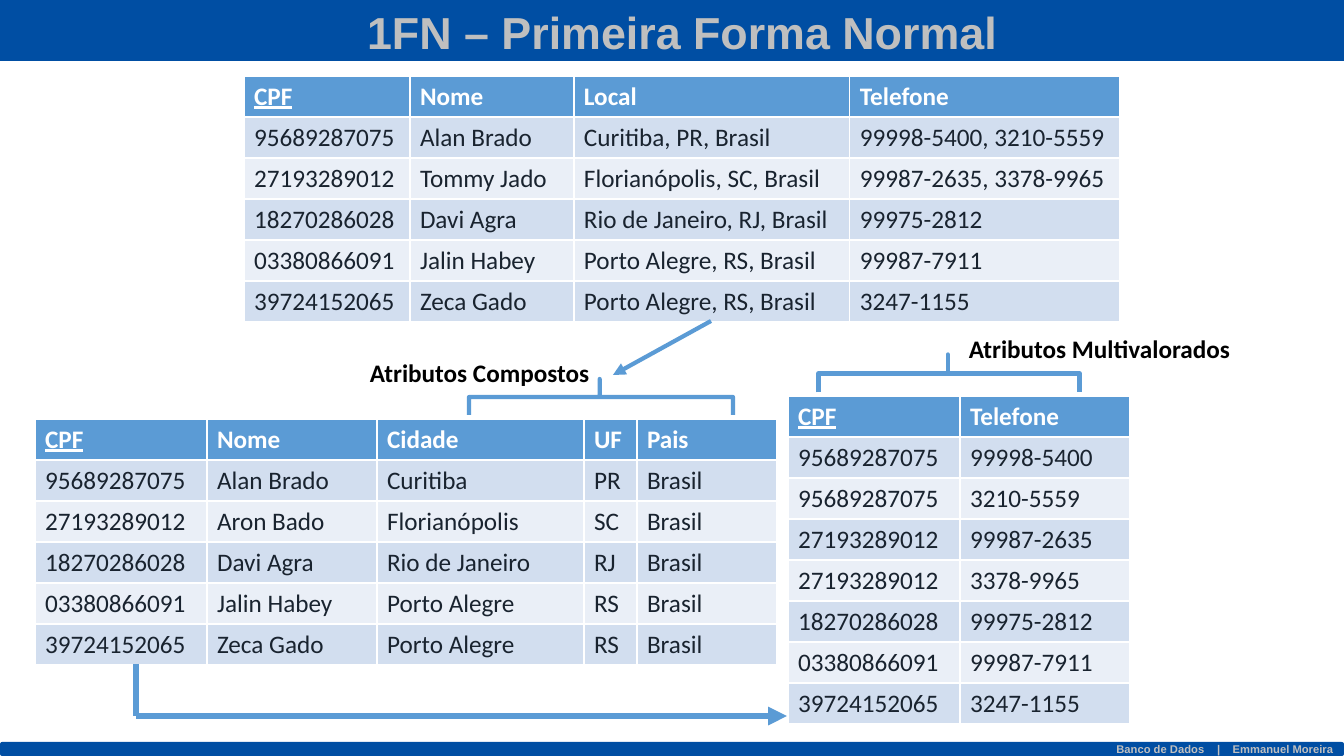
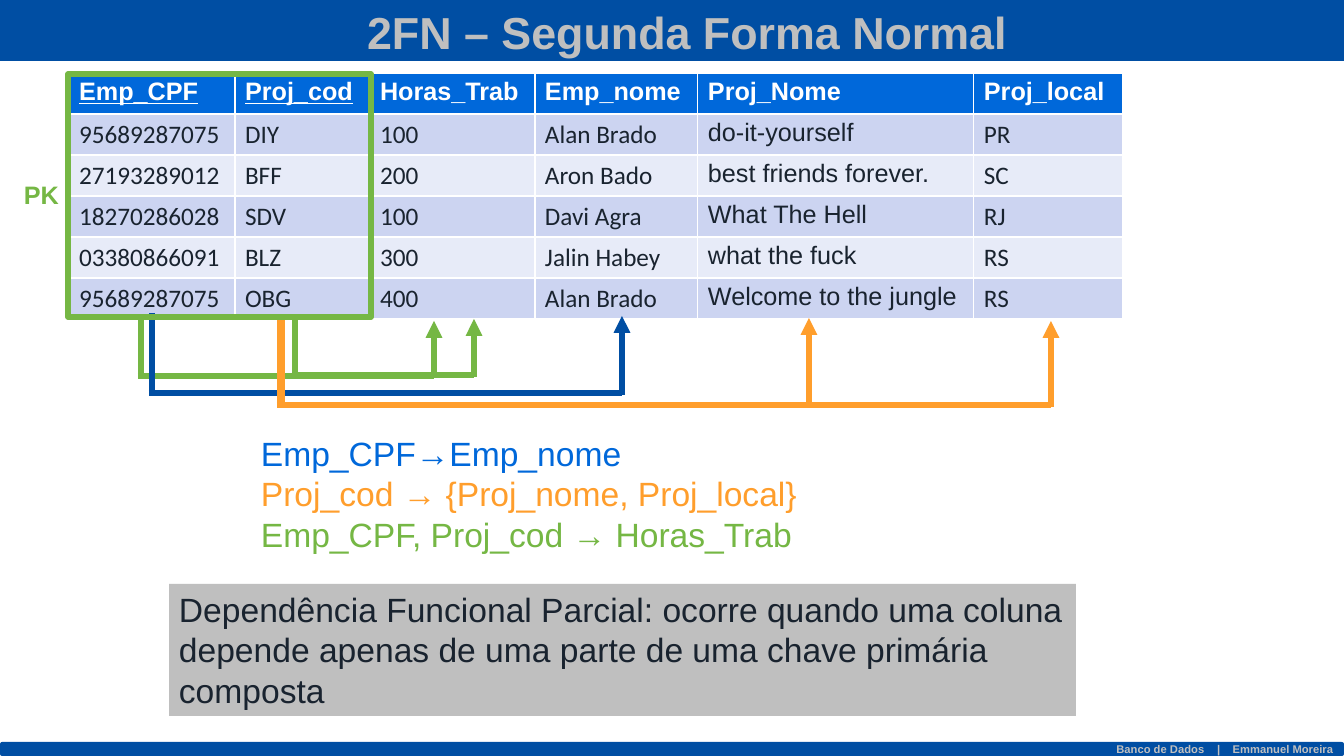
from lxml import etree
from pptx import Presentation
from pptx.dml.color import RGBColor
from pptx.enum.shapes import MSO_CONNECTOR, MSO_SHAPE
from pptx.enum.text import MSO_ANCHOR, MSO_AUTO_SIZE, PP_ALIGN
from pptx.oxml.ns import qn
from pptx.util import Pt

PX = 12192000 / 1344
C = {
    "band": "004EA3", "grey": "BFBFBF", "white": "FFFFFF", "black": "000000",
    "ink": "19232F", "sky": "5B9BD5", "sky_dark": "D2DEEF", "sky_light": "EAEFF7",
    "blue": "0068DA", "blue_dark": "CCD4F1", "blue_light": "E7EBF8",
    "green": "75B744", "orange": "FF9E2C",
}
RGB = {name: RGBColor.from_string(value) for name, value in C.items()}


def px(*lengths):
    return [round(n * PX) for n in lengths]


def write(tf, *lines, size=18, font="Arial", color="ink", bold=False,
          underline=False, align=PP_ALIGN.LEFT, anchor=None, wrap=None):
    """Each line is a string or a (string, colour) pair."""
    if anchor is not None:
        tf.vertical_anchor = anchor
    if wrap is not None:
        tf.word_wrap = wrap
    for i, line in enumerate(lines):
        text, line_color = (line, color) if isinstance(line, str) else line
        p = tf.paragraphs[0] if i == 0 else tf.add_paragraph()
        p.alignment = align
        r = p.add_run()
        r.text = text
        r.font.size, r.font.name = Pt(size), font
        r.font.bold, r.font.underline = bold, underline
        r.font.color.rgb = RGB[line_color]


prs = Presentation()
prs.slide_width, prs.slide_height = px(1344, 756)
layout = prs.slide_layouts[5]
s1, s2 = prs.slides.add_slide(layout), prs.slides.add_slide(layout)

# Shared bands, built once and moved to the layout
bands = [(MSO_SHAPE.RECTANGLE, 0, 61), (MSO_SHAPE.ROUNDED_RECTANGLE, 742, 14)]
for kind, top, height in bands:
    sp = s1.shapes.add_shape(kind, *px(0, top, 1344, height))
    sp.shadow.inherit = False
    sp.fill.solid()
    sp.fill.fore_color.rgb = RGB["band"]
    sp.line.fill.background()
    layout.shapes._spTree.insert(2, sp._element)
tf = sp.text_frame
write(tf, "Banco de Dados", size=8, color="grey", bold=True,
      align=PP_ALIGN.RIGHT, anchor=MSO_ANCHOR.MIDDLE, wrap=True)
p = tf.paragraphs[0]
for text in (" ", "|", " ", "Emmanuel Moreira"):
    r = p.add_run()
    r.text = text
    r.font.size, r.font.name, r.font.bold = Pt(8), "Arial", True
    r.font.color.rgb = RGB["grey"]
    if text == " ":
        r._r.get_or_add_rPr().set("spc", "670")

# Titles
titles = [(s1, "1FN – Primeira Forma Normal"), (s2, "2FN – Segunda Forma Normal")]
for s, title in titles:
    sp = s.shapes.title
    sp.left, sp.top, sp.width, sp.height = px(357, 0, 680, 65)
    sp.text_frame.auto_size = MSO_AUTO_SIZE.NONE
    write(sp.text_frame, title, size=32, color="grey", bold=True,
          anchor=MSO_ANCHOR.TOP, wrap=True)

# Tables: slide, palette, header font, left, top, column widths, key columns, rows
tables = [
    (s1, "sky", "Calibri", 244, 76, [166, 164, 276, 270], 1, [
        ["CPF", "Nome", "Local", "Telefone"],
        ["95689287075", "Alan Brado", "Curitiba, PR, Brasil", "99998-5400, 3210-5559"],
        ["27193289012", "Tommy Jado", "Florianópolis, SC, Brasil", "99987-2635, 3378-9965"],
        ["18270286028", "Davi Agra", "Rio de Janeiro, RJ, Brasil", "99975-2812"],
        ["03380866091", "Jalin Habey", "Porto Alegre, RS, Brasil", "99987-7911"],
        ["39724152065", "Zeca Gado", "Porto Alegre, RS, Brasil", "3247-1155"],
    ]),
    (s1, "sky", "Calibri", 35, 419, [172, 170, 207, 53, 140], 1, [
        ["CPF", "Nome", "Cidade", "UF", "Pais"],
        ["95689287075", "Alan Brado", "Curitiba", "PR", "Brasil"],
        ["27193289012", "Aron Bado", "Florianópolis", "SC", "Brasil"],
        ["18270286028", "Davi Agra", "Rio de Janeiro", "RJ", "Brasil"],
        ["03380866091", "Jalin Habey", "Porto Alegre", "RS", "Brasil"],
        ["39724152065", "Zeca Gado", "Porto Alegre", "RS", "Brasil"],
    ]),
    (s1, "sky", "Calibri", 788, 396, [172, 170], 1, [
        ["CPF", "Telefone"],
        ["95689287075", "99998-5400"],
        ["95689287075", "3210-5559"],
        ["27193289012", "99987-2635"],
        ["27193289012", "3378-9965"],
        ["18270286028", "99975-2812"],
        ["03380866091", "99987-7911"],
        ["39724152065", "3247-1155"],
    ]),
    (s2, "blue", "Arial", 69, 73, [166, 135, 165, 163, 276, 149], 2, [
        ["Emp_CPF", "Proj_cod", "Horas_Trab", "Emp_nome", "Proj_Nome", "Proj_local"],
        ["95689287075", "DIY", "100", "Alan Brado", "do-it-yourself", "PR"],
        ["27193289012", "BFF", "200", "Aron Bado", "best friends forever.", "SC"],
        ["18270286028", "SDV", "100", "Davi Agra", "What The Hell", "RJ"],
        ["03380866091", "BLZ", "300", "Jalin Habey", "what the fuck", "RS"],
        ["95689287075", "OBG", "400", "Alan Brado", "Welcome to the jungle", "RS"],
    ]),
]
ROW = 41
for s, palette, header_font, left, top, widths, keys, rows in tables:
    frame = s.shapes.add_table(len(rows), len(widths),
                               *px(left, top, sum(widths), ROW * len(rows)))
    table = frame.table
    for column, width in zip(table.columns, px(*widths)):
        column.width = width
    for i, row in enumerate(rows):
        table.rows[i].height = px(ROW)[0]
        shade = palette if i == 0 else palette + ("_dark" if i % 2 else "_light")
        for j, text in enumerate(row):
            cell = table.cell(i, j)
            cell.fill.solid()
            cell.fill.fore_color.rgb = RGB[shade]
            if i == 0:
                write(cell.text_frame, text, font=header_font, color="white",
                      bold=True, underline=j < keys)
            else:
                font = "Arial" if rows[0][j] == "Proj_Nome" else "Calibri"
                write(cell.text_frame, text, font=font)

# Lines: slide, colour, width, start, end, arrowhead
lines = [
    (s1, "sky", 3, (711, 321), (613, 375), True),
    (s1, "sky", 4.5, (136, 716), (787, 716), True),
    (s1, "sky", 4.5, (136, 664), (136, 716), False),
]
# Dependency routes: colour, source x, source y, depth, target x, target y
routes = [
    ("green", 141, 319, 376, 434, 321),
    ("band", 152, 313, 393, 622, 316),
    ("orange", 280, 316, 405, 809, 318),
    ("orange", 282, 319, 405, 1051, 321),
    ("green", 295, 317, 375, 474, 319),
]
for color, x0, y0, depth, x1, y1 in routes:
    lines += [
        (s2, color, 4, (x0, y0), (x0, depth), False),
        (s2, color, 4, (x0 - 3, depth), (x1, depth), False),
        (s2, color, 4, (x1, depth + 2), (x1, y1), True),
    ]
for s, color, width, start, end, arrow in lines:
    line = s.shapes.add_connector(MSO_CONNECTOR.STRAIGHT, *px(*start, *end))
    line.line.color.rgb = RGB[color]
    line.line.width = Pt(width)
    if arrow:
        ln = line.line._get_or_add_ln()
        etree.SubElement(ln, qn("a:tailEnd"), type="triangle")
    etree.SubElement(line._element.spPr, qn("a:effectLst"))

# Braces over the split columns
for box in [(583, 265, 36, 264), (930, 243, 38, 261)]:
    brace = s1.shapes.add_shape(MSO_SHAPE.LEFT_BRACE, *px(*box))
    brace.rotation = 90
    brace.adjustments[0], brace.adjustments[1] = 0, 0.505
    brace.shadow.inherit = False
    brace.fill.background()
    brace.line.color.rgb = RGB["sky"]
    brace.line.width = Pt(3)

# Explanation panel
panel = s2.shapes.add_shape(MSO_SHAPE.RECTANGLE, *px(169, 584, 907, 132))
panel.shadow.inherit = False
panel.fill.solid()
panel.fill.fore_color.rgb = RGB["grey"]
panel.line.fill.background()
write(panel.text_frame,
      "Dependência Funcional Parcial: ocorre quando uma coluna depende apenas "
      "de uma parte de uma chave primária composta",
      size=24, anchor=MSO_ANCHOR.TOP, wrap=True)

# Primary key frame
key = s2.shapes.add_shape(MSO_SHAPE.RECTANGLE, *px(68, 74, 303, 243))
key.shadow.inherit = False
key.fill.background()
key.line.color.rgb = RGB["green"]
key.line.width = Pt(4)

# Labels
label = {"font": "Calibri", "color": "black", "bold": True}
labels = [
    (s1, (959, 328, 283, 40), ["Atributos Multivalorados"], label),
    (s1, (360, 352, 241, 40), ["Atributos Compostos"], label),
    (s2, (14, 174, 55, 40), ["PK"], {"color": "green", "bold": True}),
    (s2, (251, 428, 561, 132), [
        ("Emp_CPF→Emp_nome", "blue"),
        ("Proj_cod → {Proj_nome, Proj_local}", "orange"),
        ("Emp_CPF, Proj_cod → Horas_Trab", "green"),
    ], {"size": 24}),
]
for s, box, texts, style in labels:
    tb = s.shapes.add_textbox(*px(*box))
    write(tb.text_frame, *texts, wrap=False, **style)

prs.save("out.pptx")
